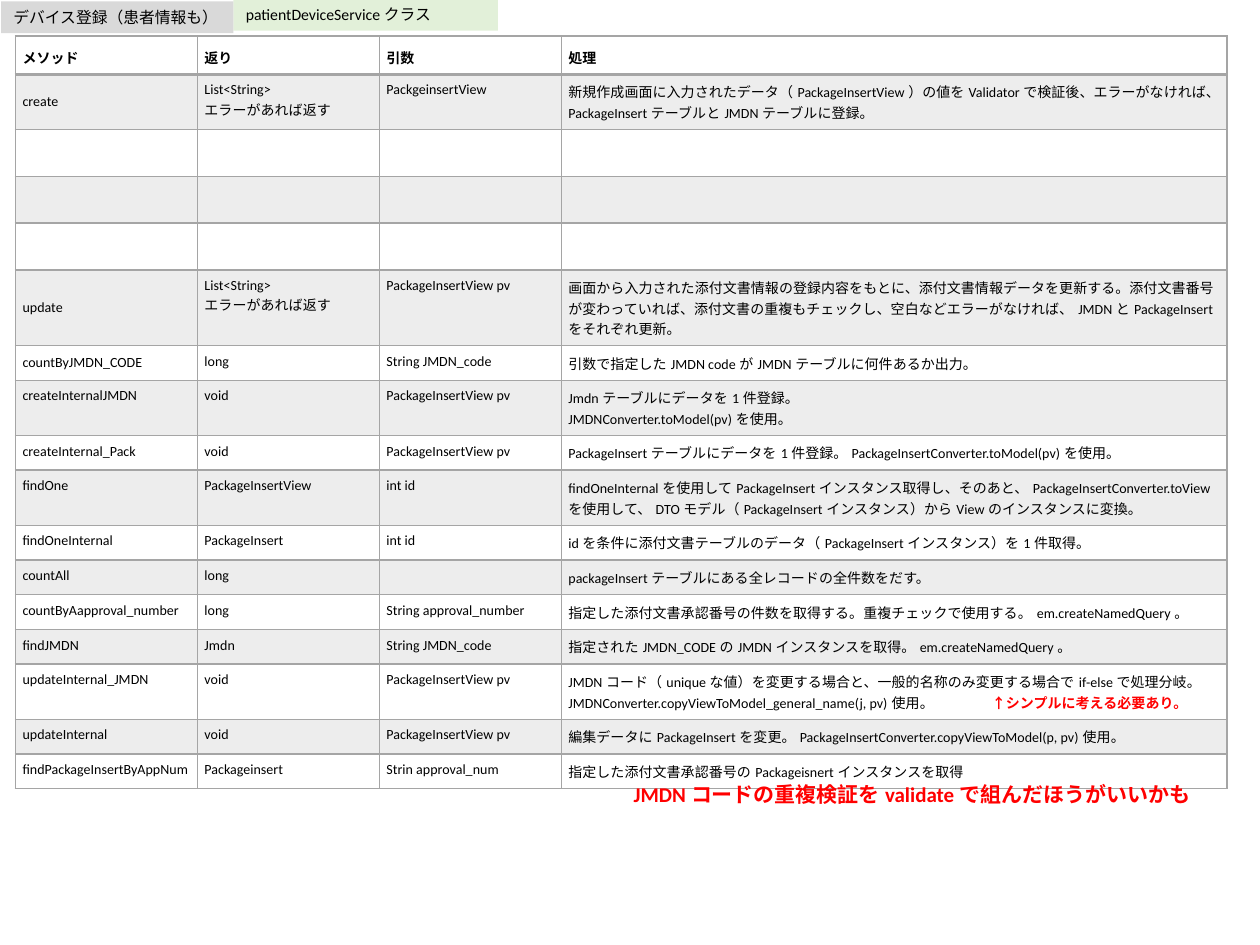
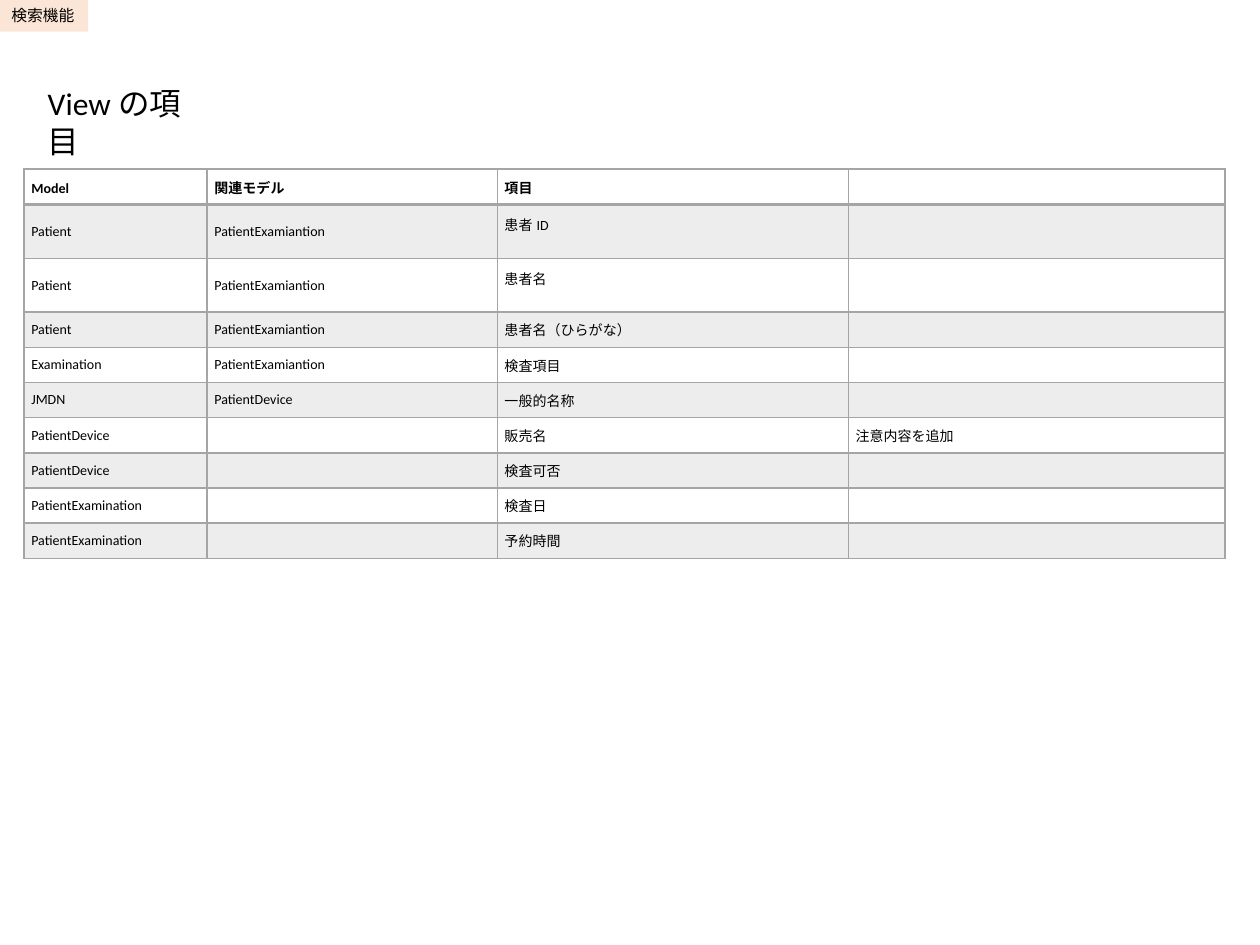
from lxml.etree import SubElement
from pptx import Presentation
from pptx.dml.color import RGBColor
from pptx.enum.shapes import MSO_SHAPE
from pptx.enum.text import MSO_ANCHOR as Anchor, MSO_AUTO_SIZE as AutoSize, PP_ALIGN as Align
from pptx.oxml.ns import qn
from pptx.util import Pt

FONT = "Calibri"
BLACK = RGBColor(0x00, 0x00, 0x00)
RED = RGBColor(0xFF, 0x00, 0x00)
RULE = RGBColor(0xA5, 0xA5, 0xA5)
GREEN = RGBColor(0xE2, 0xF0, 0xD9)
GRAY = RGBColor(0xD9, 0xD9, 0xD9)
PEACH = RGBColor(0xFB, 0xE5, 0xD6)

CELL_SIZE = 8
LABEL_SIZE = 9
CELL_MARGIN = 4.1
BAND_ALPHA = 20
REMARK = "↑シンプルに考える必要あり。"
REMARK_TAB = 242

VIEW_ARG = "PackageInsertView pv"
ERROR_LIST = "List<String>\nエラーがあれば返す"
EMPTY_ROW = ("", "", "", "")

METHODS = [
    ("メソッド", "返り", "引数", "処理"),
    ("create", ERROR_LIST, "PackgeinsertView",
     "新規作成画面に入力されたデータ（PackageInsertView）の値をValidatorで検証後、エラーがなければ、"
     "PackageInsertテーブルとJMDNテーブルに登録。"),
    EMPTY_ROW,
    EMPTY_ROW,
    EMPTY_ROW,
    ("update", ERROR_LIST, VIEW_ARG,
     "画面から入力された添付文書情報の登録内容をもとに、添付文書情報データを更新する。"
     "添付文書番号が変わっていれば、添付文書の重複もチェックし、空白などエラーがなければ、"
     "JMDNとPackageInsertをそれぞれ更新。"),
    ("countByJMDN_CODE", "long", "String JMDN_code",
     "引数で指定したJMDN codeがJMDNテーブルに何件あるか出力。"),
    ("createInternalJMDN", "void", VIEW_ARG,
     "Jmdnテーブルにデータを1件登録。\nJMDNConverter.toModel(pv)を使用。"),
    ("createInternal_Pack", "void", VIEW_ARG,
     "PackageInsertテーブルにデータを1件登録。PackageInsertConverter.toModel(pv)を使用。"),
    ("findOne", "PackageInsertView", "int id",
     "findOneInternalを使用してPackageInsertインスタンス取得し、そのあと、"
     "PackageInsertConverter.toViewを使用して、"
     "DTOモデル（PackageInsertインスタンス）からViewのインスタンスに変換。"),
    ("findOneInternal", "PackageInsert", "int id",
     "idを条件に添付文書テーブルのデータ（PackageInsertインスタンス）を1件取得。"),
    ("countAll", "long", "", "packageInsertテーブルにある全レコードの全件数をだす。"),
    ("countByAapproval_number", "long", "String approval_number",
     "指定した添付文書承認番号の件数を取得する。重複チェックで使用する。em.createNamedQuery。"),
    ("findJMDN", "Jmdn", "String JMDN_code",
     "指定されたJMDN_CODEのJMDNインスタンスを取得。em.createNamedQuery。"),
    ("updateInternal_JMDN", "void", VIEW_ARG,
     "JMDNコード（uniqueな値）を変更する場合と、一般的名称のみ変更する場合でif-elseで処理分岐。"
     "JMDNConverter.copyViewToModel_general_name(j, pv)使用。"),
    ("updateInternal", "void", VIEW_ARG,
     "編集データにPackageInsertを変更。PackageInsertConverter.copyViewToModel(p, pv)使用。"),
    ("findPackageInsertByAppNum", "Packageinsert", "Strin approval_num",
     "指定した添付文書承認番号のPackageisnertインスタンスを取得"),
]
METHOD_COLUMNS = [104, 104, 104, 380.4]
SHORT, TALL = 17.3, 26.8
METHOD_HEIGHTS = [22, *[TALL] * 4, 36.7, SHORT, TALL, SHORT, TALL,
                  *[SHORT] * 4, TALL, SHORT, SHORT]
CENTERED_METHODS = {"create", "update", "countByJMDN_CODE"}
REMARKED_METHOD = "updateInternal_JMDN"

VIEW_ITEMS = [
    ("Model", "関連モデル", "項目", ""),
    ("Patient", "PatientExamiantion", "患者ID", ""),
    ("Patient", "PatientExamiantion", "患者名", ""),
    ("Patient", "PatientExamiantion", "患者名（ひらがな）", ""),
    ("Examination", "PatientExamiantion", "検査項目", ""),
    ("JMDN", "PatientDevice", "一般的名称", ""),
    ("PatientDevice", "", "販売名", "注意内容を追加"),
    ("PatientDevice", "", "検査可否", ""),
    ("PatientExamination", "", "検査日", ""),
    ("PatientExamination", "", "予約時間", ""),
]
ITEM_COLUMNS = [104.6, 165.8, 200.6, 215.2]
ITEM_HEIGHTS = [20.1, 30.8, 30.8, *[20.1] * 7]
RAISED_ITEMS = {"患者ID", "患者名"}


def style(run, size, color=BLACK, bold=False):
    run.font.name = FONT
    run.font.size = Pt(size)
    run.font.color.rgb = color
    run.font.bold = bold


def add_text(slide, text, box, size=LABEL_SIZE, color=BLACK, bold=False, fill=None, wrap=True):
    place = [Pt(length) for length in box]
    if fill is None:
        label = slide.shapes.add_textbox(*place)
    else:
        label = slide.shapes.add_shape(MSO_SHAPE.RECTANGLE, *place)
        label.shadow.inherit = False
        label.fill.solid()
        label.fill.fore_color.rgb = fill
        label.line.fill.background()
    frame = label.text_frame
    frame.text = text
    frame.word_wrap = wrap
    frame.auto_size = AutoSize.SHAPE_TO_FIT_TEXT
    frame.vertical_anchor = Anchor.TOP
    frame.paragraphs[0].alignment = Align.LEFT
    style(frame.paragraphs[0].runs[0], size, color, bold)


def set_borders(cell, row):
    properties = cell._tc.get_or_add_tcPr()
    widths = {"lnL": 1, "lnR": 1, "lnT": 2 if row == 1 else 1, "lnB": 2 if row == 0 else 1}
    for side, width in widths.items():
        line = SubElement(properties, qn(f"a:{side}"), w=str(Pt(width)))
        SubElement(SubElement(line, qn("a:solidFill")), qn("a:srgbClr"), val=str(RULE))


def set_band(cell, row):
    if row % 2 == 0:
        cell.fill.background()
        return
    cell.fill.solid()
    cell.fill.fore_color.rgb = RULE
    color = cell._tc.tcPr.find(qn("a:solidFill")).find(qn("a:srgbClr"))
    SubElement(color, qn("a:alpha"), val=str(BAND_ALPHA * 1000))


def fill_cell(cell, text, row):
    cell.margin_left = cell.margin_right = Pt(CELL_MARGIN)
    cell.margin_top = cell.margin_bottom = Pt(CELL_MARGIN)
    set_borders(cell, row)
    set_band(cell, row)
    cell.text_frame.text = text
    for paragraph in cell.text_frame.paragraphs:
        for run in paragraph.runs:
            style(run, CELL_SIZE, bold=row == 0)
        if not paragraph.runs:
            SubElement(paragraph._p, qn("a:endParaRPr"), sz=str(CELL_SIZE * 100))


def add_grid(slide, rows, left, top, widths, heights, body_anchor):
    table = slide.shapes.add_table(
        len(rows), len(widths), Pt(left), Pt(top), Pt(sum(widths)), Pt(sum(heights))).table
    table.horz_banding = False
    for column, width in zip(table.columns, widths):
        column.width = Pt(width)
    for number, (texts, height) in enumerate(zip(rows, heights)):
        table.rows[number].height = Pt(height)
        for cell, text in zip(table.rows[number].cells, texts):
            fill_cell(cell, text, number)
            cell.vertical_anchor = body_anchor if number else Anchor.BOTTOM
    return table


def add_remark(cell):
    paragraph = cell.text_frame.paragraphs[0]
    tabs = SubElement(paragraph._p.get_or_add_pPr(), qn("a:tabLst"))
    SubElement(tabs, qn("a:tab"), pos=str(Pt(REMARK_TAB)), algn="l")
    remark = paragraph.add_run()
    remark.text = "\t" + REMARK
    style(remark, CELL_SIZE, RED, True)


def build_methods(slide):
    table = add_grid(slide, METHODS, 8.8, 20.5, METHOD_COLUMNS, METHOD_HEIGHTS, Anchor.TOP)
    for row in table.rows:
        method = row.cells[0]
        if method.text in CENTERED_METHODS:
            method.vertical_anchor = Anchor.MIDDLE
        if method.text == REMARKED_METHOD:
            add_remark(row.cells[3])
    add_text(slide, "patientDeviceServiceクラス", (133.4, -0.6, 151.2, 18.2), fill=GREEN)
    add_text(slide, "JMDNコードの重複検証をvalidateで組んだほうがいいかも",
             (355, 442.8, 343.4, 21.8), 12, RED, True)
    add_text(slide, "デバイス登録（患者情報も）", (0.6, 0.8, 132.8, 18.2), fill=GRAY, wrap=False)


def build_view_items(slide):
    table = add_grid(slide, VIEW_ITEMS, 13.8, 96.7, ITEM_COLUMNS, ITEM_HEIGHTS, Anchor.MIDDLE)
    for row in table.rows:
        if row.cells[2].text in RAISED_ITEMS:
            row.cells[2].margin_bottom = Pt(CELL_MARGIN + 8)
    add_text(slide, "検索機能", (-0.6, 0, 51, 18.2), fill=PEACH, wrap=False)
    add_text(slide, "Viewの項目", (20.2, 44.6, 105.8, 28.8), 18)


def main():
    deck = Presentation()
    deck.slide_width, deck.slide_height = Pt(720), Pt(540)
    for build in (build_methods, build_view_items):
        build(deck.slides.add_slide(deck.slide_layouts[6]))
    deck.save("out.pptx")


if __name__ == "__main__":
    main()
